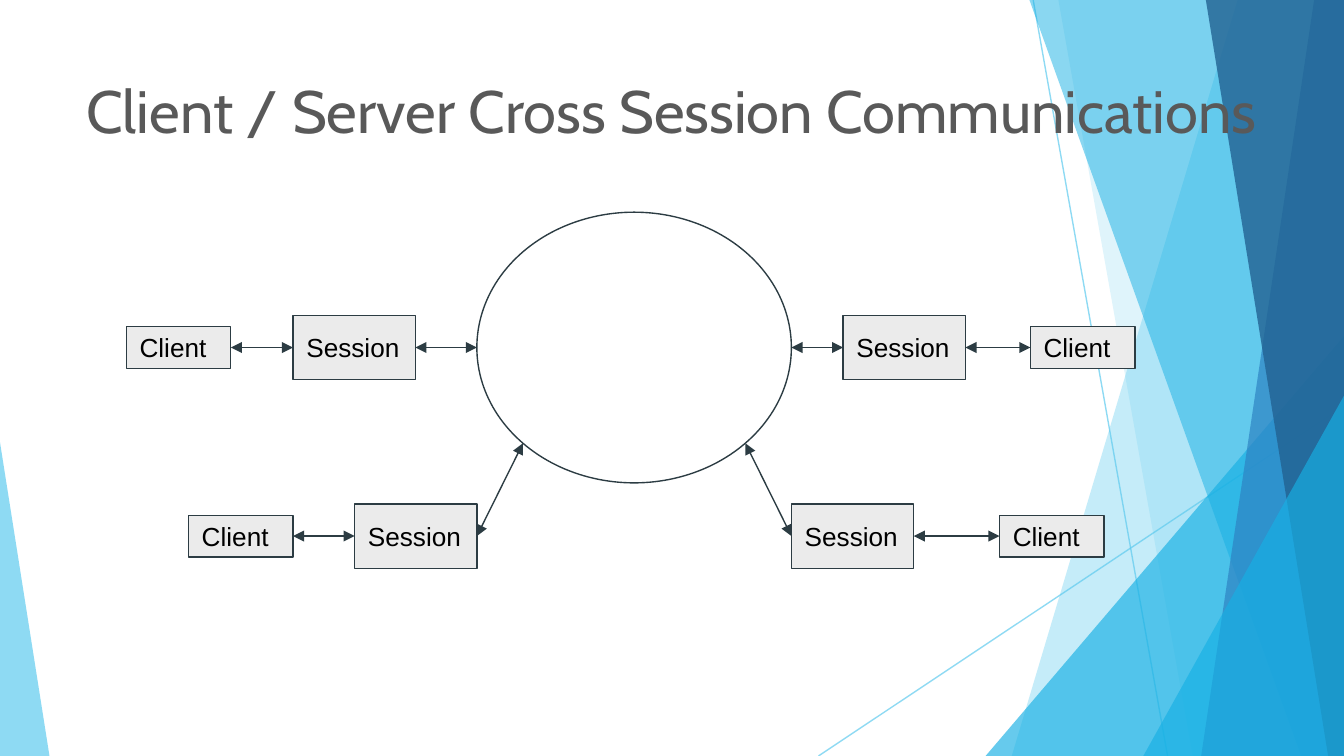
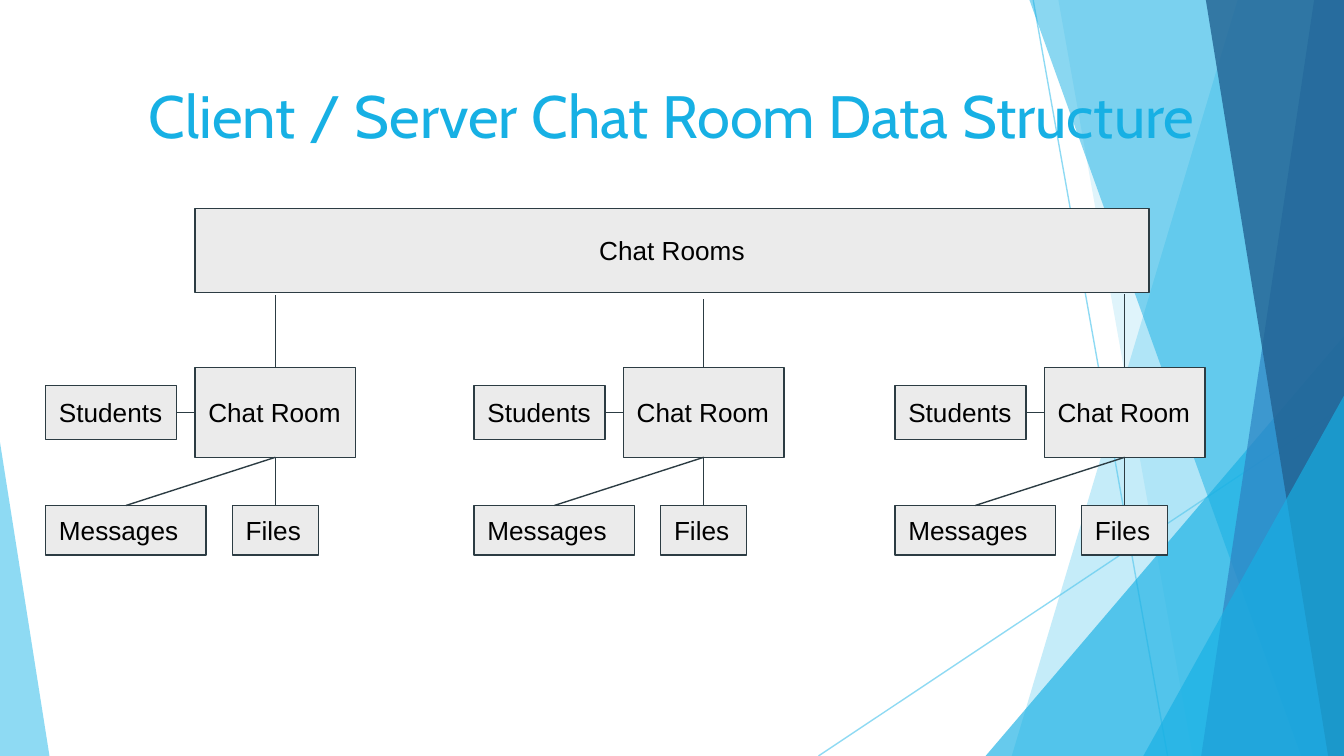
import lxml.etree
import pptx
import pptx.dml.color
import pptx.enum.shapes
import pptx.enum.text
import pptx.oxml.ns
import pptx.util

Pt = pptx.util.Pt
qn = pptx.oxml.ns.qn
SHAPES = pptx.enum.shapes.MSO_SHAPE
ALIGN = pptx.enum.text.PP_ALIGN
ANCHOR = pptx.enum.text.MSO_ANCHOR

WIDTH, HEIGHT = 720, 405
COLOURS = {
    "sky": "5FCBEF",
    "cyan": "17B0E4",
    "blue": "2E83C3",
    "navy": "226292",
    "ink": "2C3C43",
    "box": "EBEBEB",
    "grey": "595959",
    "black": "000000",
}


def colour(name):
    return pptx.dml.color.RGBColor.from_string(COLOURS[name])


def set_opacity(shape, percent):
    srgb = shape.element.spPr.find(".//" + qn("a:srgbClr"))
    lxml.etree.SubElement(srgb, qn("a:alpha")).set("val", str(percent * 1000))


def add_line(slide, start, end, line_colour="ink"):
    connector = slide.shapes.add_connector(
        pptx.enum.shapes.MSO_CONNECTOR.STRAIGHT,
        *(Pt(value) for value in (*start, *end)))
    connector.line.width = Pt(0.75)
    connector.line.color.rgb = colour(line_colour)
    lxml.etree.SubElement(connector.element.spPr, qn("a:effectLst"))
    return connector


def add_double_arrow(slide, start, end):
    outline = add_line(slide, start, end).element.spPr.find(qn("a:ln"))
    for tag in ("a:headEnd", "a:tailEnd"):
        lxml.etree.SubElement(outline, qn(tag)).set("type", "triangle")


def add_outlined(slide, kind, left, top, width, height):
    shape = slide.shapes.add_shape(kind, Pt(left), Pt(top), Pt(width), Pt(height))
    shape.shadow.inherit = False
    shape.fill.background()
    shape.line.color.rgb = colour("ink")
    shape.line.width = Pt(0.75)
    return shape


def set_insets(frame):
    frame.margin_left = frame.margin_right = Pt(7.2)
    frame.margin_top = frame.margin_bottom = Pt(7.2)


def format_text(paragraph, font_name, size, text_colour, alignment):
    paragraph.alignment = alignment
    paragraph.font.name = font_name
    paragraph.font.size = Pt(size)
    paragraph.font.color.rgb = colour(text_colour)


def add_box(slide, text, left, top, width, height, alignment=ALIGN.LEFT):
    box = add_outlined(slide, SHAPES.RECTANGLE, left, top, width, height)
    box.fill.solid()
    box.fill.fore_color.rgb = colour("box")
    frame = box.text_frame
    frame.text = text
    frame.word_wrap = True
    frame.vertical_anchor = ANCHOR.MIDDLE
    set_insets(frame)
    format_text(frame.paragraphs[0], "Arial", 14, "black", alignment)


def set_title(slide, text, top, text_colour):
    title = slide.shapes.title
    title.left, title.top, title.width, title.height = (
        Pt(24.5), Pt(top), Pt(671), Pt(45.4))
    frame = title.text_frame
    frame.text = text
    frame.word_wrap = True
    frame.auto_size = pptx.enum.text.MSO_AUTO_SIZE.NONE
    frame.vertical_anchor = ANCHOR.TOP
    set_insets(frame)
    format_text(frame.paragraphs[0], "Cabin", 32, text_colour, ALIGN.CENTER)


def fill_facet(shape, fill_colour, opacity):
    shape.shadow.inherit = False
    shape.fill.solid()
    shape.fill.fore_color.rgb = colour(fill_colour)
    shape.line.fill.background()
    set_opacity(shape, opacity)
    return shape


def add_wedge(slide, top_x, bottom_x, fill_colour, opacity):
    """Fill the slide from a slanted left edge to the right margin."""
    builder = slide.shapes.build_freeform(Pt(top_x), 0)
    corners = [(WIDTH, 0), (WIDTH, HEIGHT), (bottom_x, HEIGHT)]
    builder.add_line_segments([(Pt(x), Pt(y)) for x, y in corners])
    return fill_facet(builder.convert_to_shape(), fill_colour, opacity)


def add_triangle(slide, left, top, width, apex, fill_colour, opacity):
    """Stand a triangle on the bottom edge; apex runs from 0 (left) to 1 (right)."""
    triangle = slide.shapes.add_shape(
        SHAPES.ISOSCELES_TRIANGLE, Pt(left), Pt(top), Pt(width), Pt(HEIGHT - top))
    triangle.adjustments[0] = apex
    return fill_facet(triangle, fill_colour, opacity)


def move_backdrop_to_layout(slide, layout):
    """Draw the facets with the slide's shape tools, then keep them on the layout."""
    for placeholder in list(layout.placeholders)[1:]:
        layout.shapes.element.remove(placeholder.element)
    lines = [add_line(slide, (553.5, 0), (625.5, HEIGHT), "sky"),
             add_line(slide, (WIDTH, 217.5), (438.5, HEIGHT), "sky")]
    for line in lines:
        set_opacity(line, 70)
    facets = [
        add_wedge(slide, 663, 542, "sky", 36),
        add_wedge(slide, 567, 639, "sky", 20),
        add_triangle(slide, 528, 180, 192, 1, "cyan", 66),
        add_wedge(slide, 551.5, 697, "cyan", 50),
        add_wedge(slide, 704, 643.5, "blue", 70),
        add_wedge(slide, 646, 711.5, "navy", 80),
        add_triangle(slide, 612.5, 212, 107.5, 1, "cyan", 66),
        add_triangle(slide, 0, 237, 26.5, 0, "sky", 70),
    ]
    for shape in lines + facets:
        layout.shapes.element.append(shape.element)


def add_session_branch(slide, client_left, session_left, middle, server_point):
    """Chain a client, its session and a point on the server's outline."""
    client_width, client_height = 56, 22.3
    session_width, session_height = 65.5, 34.5
    add_box(slide, "Session", session_left, middle - session_height / 2,
            session_width, session_height)
    add_box(slide, "Client", client_left, middle - client_height / 2,
            client_width, client_height)
    session_right = session_left + session_width
    if client_left < session_left:
        client_edge, outer, inner = client_left + client_width, session_left, session_right
    else:
        client_edge, outer, inner = client_left, session_right, session_left
    add_double_arrow(slide, (client_edge, middle), (outer, middle))
    add_double_arrow(slide, (inner, middle), server_point)


def build_session_slide(slide):
    set_title(slide, "Client / Server Cross Session Communications", 32.5, "grey")
    left, top, width, height = 255.5, 113.7, 168.5, 145
    add_outlined(slide, SHAPES.OVAL, left, top, width, height)
    right, middle = left + width, top + height / 2
    diagonal = 0.5 ** 0.5
    inset, low = width / 2 * (1 - diagonal), middle + height / 2 * diagonal
    lower_middle = 287.2
    add_session_branch(slide, 67.7, 157, middle, (left, middle))
    add_session_branch(slide, 552, 451.7, middle, (right, middle))
    add_session_branch(slide, 101, 190, lower_middle, (left + inset, low))
    add_session_branch(slide, 535.5, 424, lower_middle, (right - inset, low))


def add_chat_room(slide, left, stem_top):
    room_left, room_top, room_width, room_height = left + 80, 197, 86, 48
    students_width, messages_width, files_width = 70.2, 86, 46
    files_left, leaf_top, leaf_height = left + 100, 270.8, 26.6
    room_middle, room_bottom = room_top + room_height / 2, room_top + room_height
    room_centre = room_left + room_width / 2

    add_box(slide, "Chat Room", room_left, room_top, room_width, room_height)
    add_box(slide, "Students", left, room_middle - 14.4, students_width, 28.8)
    add_box(slide, "Messages", left, leaf_top, messages_width, leaf_height)
    add_box(slide, "Files", files_left, leaf_top, files_width, leaf_height)
    add_line(slide, (left + students_width, room_middle), (room_left, room_middle))
    for leaf_centre in (left + messages_width / 2, files_left + files_width / 2):
        add_line(slide, (room_centre, room_bottom), (leaf_centre, leaf_top))
    add_line(slide, (room_centre, room_top), (room_centre, stem_top))


def build_chat_room_slide(slide):
    set_title(slide, "Client / Server Chat Room Data Structure", 35.2, "cyan")
    add_box(slide, "Chat Rooms", 104.5, 111.7, 511, 45, ALIGN.CENTER)
    for left, stem_top in ((24.5, 158), (254, 160), (479.5, 157.5)):
        add_chat_room(slide, left, stem_top)


def main():
    presentation = pptx.Presentation()
    presentation.slide_width, presentation.slide_height = Pt(WIDTH), Pt(HEIGHT)
    layout = presentation.slide_layouts.get_by_name("Title Only")
    session_slide = presentation.slides.add_slide(layout)
    move_backdrop_to_layout(session_slide, layout)
    build_session_slide(session_slide)
    build_chat_room_slide(presentation.slides.add_slide(layout))
    presentation.save("out.pptx")


if __name__ == "__main__":
    main()
